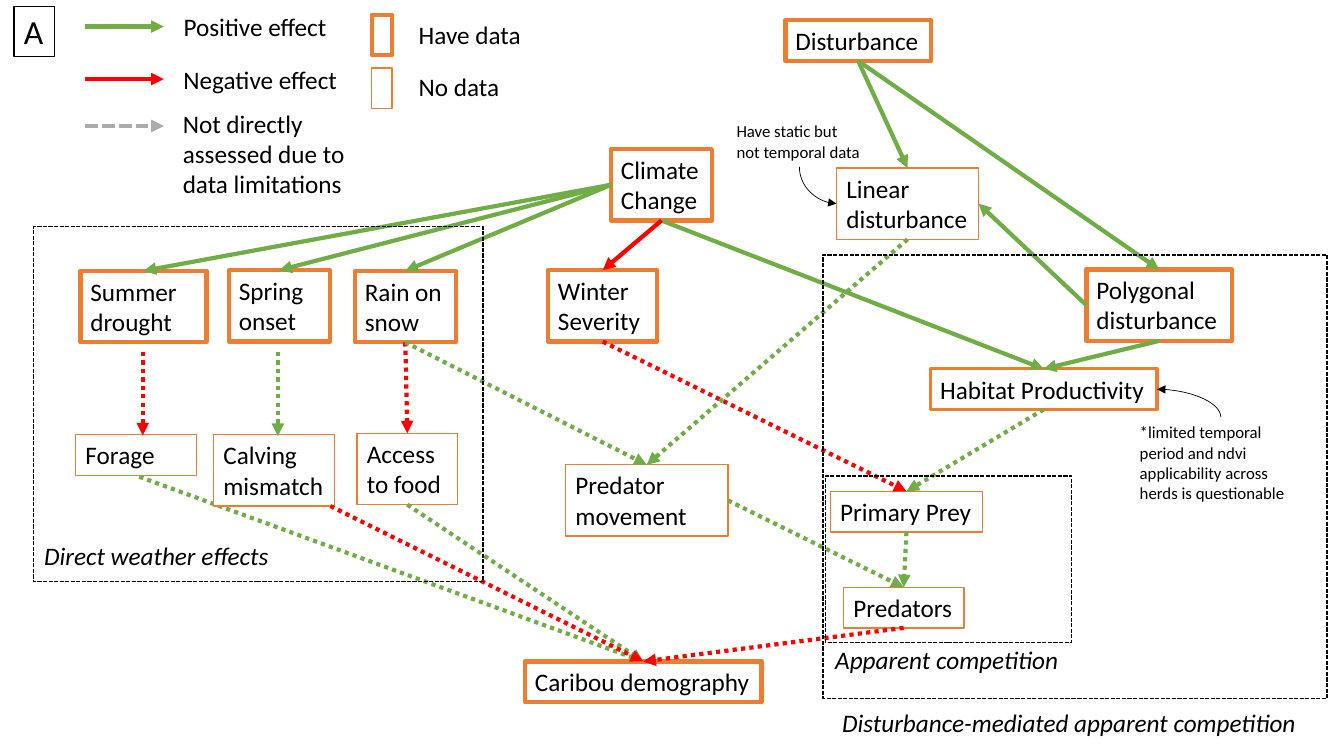
from lxml import etree
from pptx import Presentation
from pptx.dml.color import RGBColor
from pptx.enum.dml import MSO_LINE
from pptx.enum.shapes import MSO_CONNECTOR, MSO_SHAPE
from pptx.enum.text import MSO_ANCHOR, MSO_AUTO_SIZE, PP_ALIGN
from pptx.oxml.ns import qn
from pptx.util import Pt

BLACK = RGBColor(0x00, 0x00, 0x00)
WHITE = RGBColor(0xFF, 0xFF, 0xFF)
ORANGE = RGBColor(0xED, 0x7D, 0x31)
GREEN = RGBColor(0x70, 0xAD, 0x47)
RED = RGBColor(0xFF, 0x00, 0x00)
GRAY = RGBColor(0xAF, 0xAB, 0xAB)
RECTANGLE = MSO_SHAPE.RECTANGLE
STRAIGHT, CURVE = MSO_CONNECTOR.STRAIGHT, MSO_CONNECTOR.CURVE
SOLID, DOTTED, DASHED = MSO_LINE.SOLID, MSO_LINE.ROUND_DOT, MSO_LINE.SQUARE_DOT
FIT_SHAPE = MSO_AUTO_SIZE.SHAPE_TO_FIT_TEXT
ANCHOR_TOP, ALIGN_LEFT = MSO_ANCHOR.TOP, PP_ALIGN.LEFT
TOP, LEFT, BOTTOM, RIGHT = range(4)
HAVE_DATA, NO_DATA = 3, 1

prs = Presentation()
prs.slide_width, prs.slide_height = Pt(960), Pt(540)
slide = prs.slides.add_slide(prs.slide_layouts[6])
shapes = slide.shapes


def write(shape, text, size=18, italic=False, wrap=True):
    frame = shape.text_frame
    frame.word_wrap = wrap
    frame.auto_size = FIT_SHAPE
    frame.vertical_anchor = ANCHOR_TOP
    paragraph = frame.paragraphs[0]
    paragraph.alignment = ALIGN_LEFT
    run = paragraph.add_run()
    run.text = text
    run.font.name = "Calibri"
    run.font.size = Pt(size)
    run.font.italic = italic
    run.font.color.rgb = BLACK


def arrow(points, color, dash=SOLID, weight=3, kind=STRAIGHT, tip="tailEnd"):
    connector = shapes.add_connector(kind, *[Pt(value) for value in points])
    connector.line.color.rgb = color
    connector.line.width = Pt(weight)
    connector.line.dash_style = dash
    properties = connector.element.spPr
    etree.SubElement(properties.find(qn("a:ln")), qn(f"a:{tip}"), type="triangle")
    etree.SubElement(properties, qn("a:effectLst"))
    return connector


forage_effect = arrow((99.5, 340.5, 459.5, 472.5), GREEN, DOTTED)

factors = {}
for name, left, top, width, height, weight, wrap in [
    ("Caribou demography", 375, 472.5, 169, 29, HAVE_DATA, False),
    ("Primary Prey", 593, 351, 109, 29, NO_DATA, False),
    ("Predators", 602.5, 419.5, 86, 29, NO_DATA, False),
    ("Habitat Productivity", 664.5, 263.5, 162, 29, 2.25, False),
    ("Polygonal disturbance", 776, 192.5, 104, 51, HAVE_DATA, True),
    ("Climate Change", 436.5, 106.5, 72, 51, HAVE_DATA, True),
    ("Access to food", 255, 309.5, 72, 51, NO_DATA, True),
    ("Rain on snow", 253.5, 193.5, 72, 51, HAVE_DATA, True),
    ("Winter Severity", 391.5, 193, 78, 51, HAVE_DATA, True),
    ("Predator movement", 404, 332, 116, 51, NO_DATA, True),
    ("Spring onset", 163.5, 193, 72, 51, HAVE_DATA, True),
    ("Summer drought", 57.5, 193.5, 90, 51, HAVE_DATA, True),
    ("Calving mismatch", 152.5, 310.5, 86.5, 51, NO_DATA, True),
    ("Forage", 54, 310.5, 86.5, 29, NO_DATA, True),
    ("Linear disturbance", 597.5, 120, 101.5, 51, NO_DATA, True),
    ("Disturbance", 561, 14.5, 104, 29, HAVE_DATA, True),
]:
    factor = shapes.add_shape(RECTANGLE, Pt(left), Pt(top), Pt(width), Pt(height))
    factor.shadow.inherit = False
    factor.fill.solid()
    factor.fill.fore_color.rgb = WHITE
    factor.line.color.rgb = ORANGE
    factor.line.width = Pt(weight)
    write(factor, name, wrap=wrap)
    factors[name] = factor

for cause, cause_side, effect, effect_side, color, dash in [
    ("Climate Change", BOTTOM, "Habitat Productivity", TOP, GREEN, SOLID),
    ("Polygonal disturbance", BOTTOM, "Habitat Productivity", TOP, GREEN, SOLID),
    ("Habitat Productivity", BOTTOM, "Primary Prey", TOP, GREEN, DOTTED),
    ("Primary Prey", BOTTOM, "Predators", TOP, GREEN, DOTTED),
    ("Climate Change", BOTTOM, "Winter Severity", TOP, RED, SOLID),
    ("Climate Change", LEFT, "Rain on snow", TOP, GREEN, SOLID),
    ("Climate Change", LEFT, "Spring onset", TOP, GREEN, SOLID),
    ("Climate Change", LEFT, "Summer drought", TOP, GREEN, SOLID),
    ("Winter Severity", BOTTOM, "Primary Prey", TOP, RED, DOTTED),
    ("Rain on snow", BOTTOM, "Access to food", TOP, RED, DOTTED),
    ("Access to food", BOTTOM, "Caribou demography", TOP, GREEN, DOTTED),
    ("Predators", BOTTOM, "Caribou demography", TOP, RED, DOTTED),
    ("Rain on snow", BOTTOM, "Predator movement", TOP, GREEN, DOTTED),
    ("Predator movement", RIGHT, "Predators", TOP, GREEN, DOTTED),
    ("Linear disturbance", BOTTOM, "Predator movement", TOP, GREEN, DOTTED),
    ("Disturbance", BOTTOM, "Polygonal disturbance", TOP, GREEN, SOLID),
    ("Disturbance", BOTTOM, "Linear disturbance", TOP, GREEN, SOLID),
    ("Polygonal disturbance", LEFT, "Linear disturbance", RIGHT, GREEN, SOLID),
]:
    link = arrow((0, 0, 0, 0), color, dash)
    link.begin_connect(factors[cause], cause_side)
    link.end_connect(factors[effect], effect_side)

arrow((198.5, 251.5, 198.5, 311.5), GREEN, DOTTED)
arrow((102, 251.5, 102, 311), RED, DOTTED)
calving_effect = arrow((236, 361.5, 459.5, 472.5), RED, DOTTED)
for effect_on_caribou in (forage_effect, calving_effect):
    effect_on_caribou.end_connect(factors["Caribou demography"], TOP)

for left, top, width, height in [
    (24, 162, 321, 253.5),
    (589.5, 340, 176, 119),
    (588, 182, 360, 317),
]:
    region = shapes.add_shape(RECTANGLE, Pt(left), Pt(top), Pt(width), Pt(height))
    region.shadow.inherit = False
    region.fill.background()
    region.line.color.rgb = BLACK
    region.line.width = Pt(1)
    region.line.dash_style = DASHED

for text, left, top, width, height, size, italic, wrap in [
    ("Direct weather effects", 24.5, 382.5, 177, 29, 18, True, False),
    ("Apparent competition", 589.5, 456.5, 176, 29, 18, True, False),
    ("Disturbance-mediated apparent competition", 594.5, 502, 342, 29, 18, True, False),
    ("Positive effect", 124, 4.5, 120, 29, 18, False, True),
    ("Negative effect", 124, 42.5, 127, 29, 18, False, True),
    ("Not directly assessed due to data limitations", 123.5, 73.5, 152, 73, 18, False, True),
    ("Have data", 292, 10, 89, 29, 18, False, True),
    ("No data", 292, 47.5, 74, 29, 18, False, True),
    ("Have static but not temporal data", 519, 83, 104, 36, 12, False, True),
    ("*limited temporal period and ndvi applicability across herds is questionable",
     807, 298, 129, 65.5, 12, False, True),
]:
    label = shapes.add_textbox(Pt(left), Pt(top), Pt(width), Pt(height))
    write(label, text, size=size, italic=italic, wrap=wrap)

for y, color, dash in [(19, GREEN, SOLID), (56.5, RED, SOLID), (90, GRAY, DASHED)]:
    arrow((61, y, 117, y), color, dash)

for top, weight in [(10.5, HAVE_DATA), (48.5, NO_DATA)]:
    key = shapes.add_shape(RECTANGLE, Pt(265.5), Pt(top), Pt(14.5), Pt(29))
    key.shadow.inherit = False
    key.fill.solid()
    key.fill.fore_color.rgb = WHITE
    key.line.color.rgb = ORANGE
    key.line.width = Pt(weight)

for name, side, points in [
    ("Habitat Productivity", RIGHT, (826.5, 278, 872, 298)),
    ("Linear disturbance", LEFT, (597.5, 145.5, 571, 119)),
]:
    pointer = arrow(points, BLACK, weight=0.5, kind=CURVE, tip="headEnd")
    pointer.element.spPr.find(qn("a:prstGeom")).set("prst", "curvedConnector2")
    pointer.begin_connect(factors[name], side)

panel = shapes.add_shape(RECTANGLE, Pt(10), Pt(4.5), Pt(29), Pt(36))
panel.shadow.inherit = False
panel.fill.solid()
panel.fill.fore_color.rgb = WHITE
panel.line.color.rgb = BLACK
panel.line.width = Pt(1)
write(panel, "A", size=24, wrap=False)

prs.save("out.pptx")
